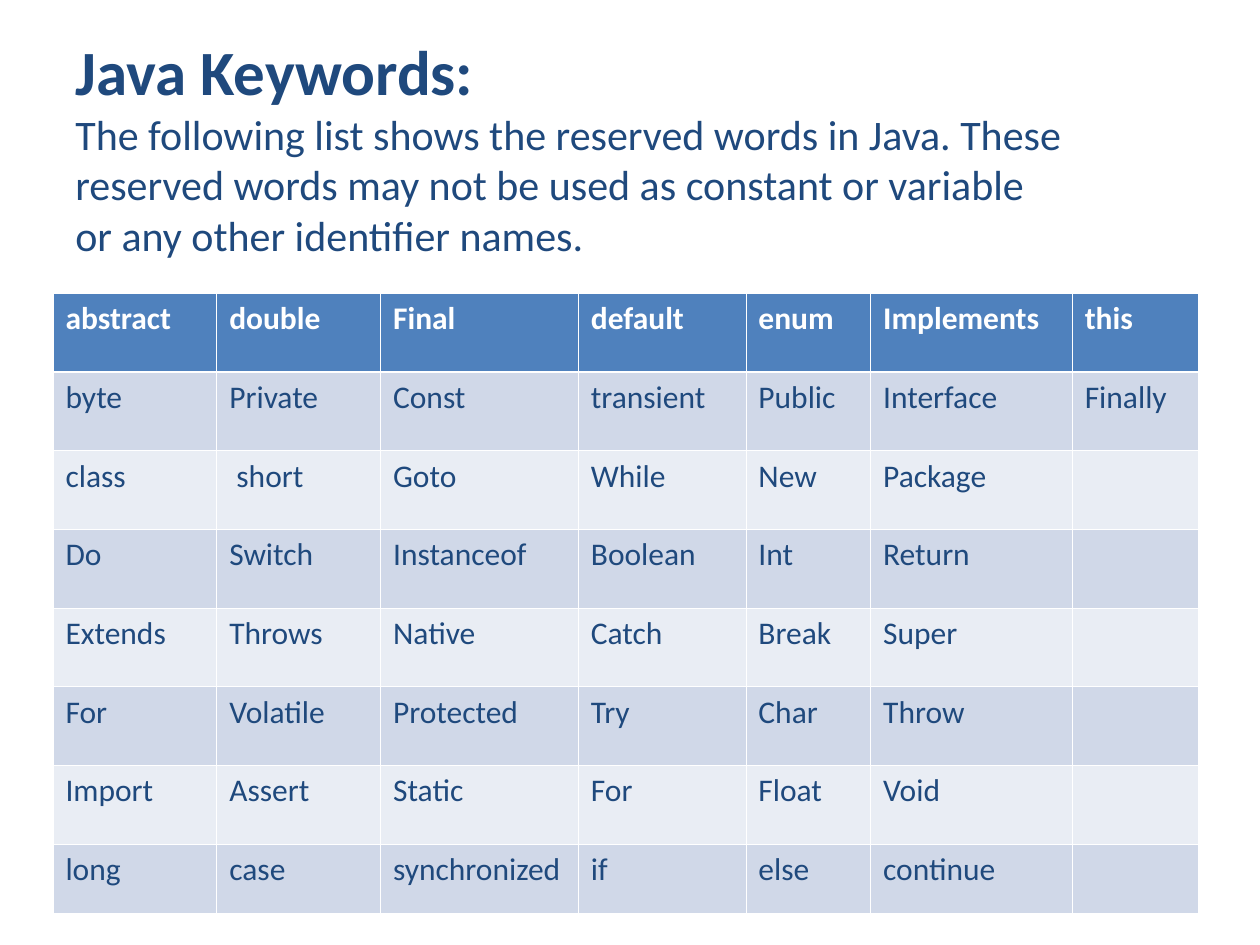
import pptx
import pptx.dml.color
import pptx.enum.text
import pptx.oxml
import pptx.oxml.ns
import pptx.util

Inches = pptx.util.Inches
Pt = pptx.util.Pt
RGBColor = pptx.dml.color.RGBColor

NAVY = RGBColor(0x1F, 0x49, 0x7D)
BLUE = RGBColor(0x4F, 0x81, 0xBD)
BAND_DARK = RGBColor(0xD0, 0xD8, 0xE8)
BAND_LIGHT = RGBColor(0xE9, 0xED, 0xF4)
WHITE = RGBColor(0xFF, 0xFF, 0xFF)
FONT = "Calibri"

INTRO = [
    ("Java Keywords:", 36, True),
    ("The following list shows the reserved words in Java. These "
     "reserved words may not be used as constant or variable", 24, False),
    ("or any other identifier names.", 24, False),
]
KEYWORDS = [
    ["abstract", "double", "Final", "default", "enum", "Implements", "this"],
    ["byte", "Private", "Const", "transient", "Public", "Interface", "Finally"],
    ["class", " short", "Goto", "While", "New", "Package", ""],
    ["Do", "Switch", "Instanceof", "Boolean", "Int", "Return", ""],
    ["Extends", "Throws", "Native", "Catch", "Break", "Super", ""],
    ["For", "Volatile", "Protected", "Try", "Char", "Throw", ""],
    ["Import", "Assert", "Static", "For", "Float", "Void", ""],
    ["long", "case", "synchronized", "if", "else", "continue", ""],
]
COLUMN_WIDTHS = [1.3, 1.3, 1.57, 1.33, 0.99, 1.6, 1]
TABLE_HEIGHT = 4.92
LAST_ROW_HEIGHT = 0.55
THIN, THICK = 0.45, 1.47


def add_run(p, text, size, color, bold):
    r = p.add_run()
    r.text = text
    r.font.name = FONT
    r.font.size = Pt(size)
    r.font.bold = bold
    r.font.color.rgb = color


def add_intro(slide):
    sp = slide.shapes.add_textbox(Inches(0.5), Inches(0.26), Inches(9), Inches(1.85))
    tf = sp.text_frame
    tf.word_wrap = True
    tf.margin_top = tf.margin_bottom = 0
    tf.vertical_anchor = pptx.enum.text.MSO_ANCHOR.TOP
    for i, (text, size, bold) in enumerate(INTRO):
        p = tf.paragraphs[0] if i == 0 else tf.add_paragraph()
        add_run(p, text, size, NAVY, bold)


def add_border(cell, side, width):
    ns = pptx.oxml.ns.nsdecls("a")
    line = pptx.oxml.parse_xml(
        f'<a:{side} {ns} w="{Pt(width)}"><a:solidFill>'
        f'<a:srgbClr val="{WHITE}"/></a:solidFill></a:{side}>'
    )
    cell._tc.get_or_add_tcPr().append(line)


def style_cell(cell, text, row):
    is_header = row == 0
    add_border(cell, "lnL", THIN)
    add_border(cell, "lnR", THIN)
    add_border(cell, "lnT", THICK if row == 1 else THIN)
    add_border(cell, "lnB", THICK if is_header else THIN)
    cell.fill.solid()
    band = BAND_DARK if row % 2 else BAND_LIGHT
    cell.fill.fore_color.rgb = BLUE if is_header else band
    if text:
        color = WHITE if is_header else NAVY
        add_run(cell.text_frame.paragraphs[0], text, 18, color, is_header)


def add_keyword_table(slide):
    rows, cols = len(KEYWORDS), len(COLUMN_WIDTHS)
    table = slide.shapes.add_table(
        rows, cols, Inches(0.42), Inches(2.33),
        Inches(sum(COLUMN_WIDTHS)), Inches(TABLE_HEIGHT),
    ).table
    for column, width in zip(table.columns, COLUMN_WIDTHS):
        column.width = Inches(width)
    row_height = (TABLE_HEIGHT - LAST_ROW_HEIGHT) / (rows - 1)
    for i, words in enumerate(KEYWORDS):
        height = LAST_ROW_HEIGHT if i == rows - 1 else row_height
        table.rows[i].height = Inches(height)
        for j, word in enumerate(words):
            style_cell(table.cell(i, j), word, i)


def main():
    prs = pptx.Presentation()
    prs.slide_width = Inches(10)
    prs.slide_height = Inches(7.5)
    slide = prs.slides.add_slide(prs.slide_layouts[6])
    add_intro(slide)
    add_keyword_table(slide)
    prs.save("out.pptx")


if __name__ == "__main__":
    main()
